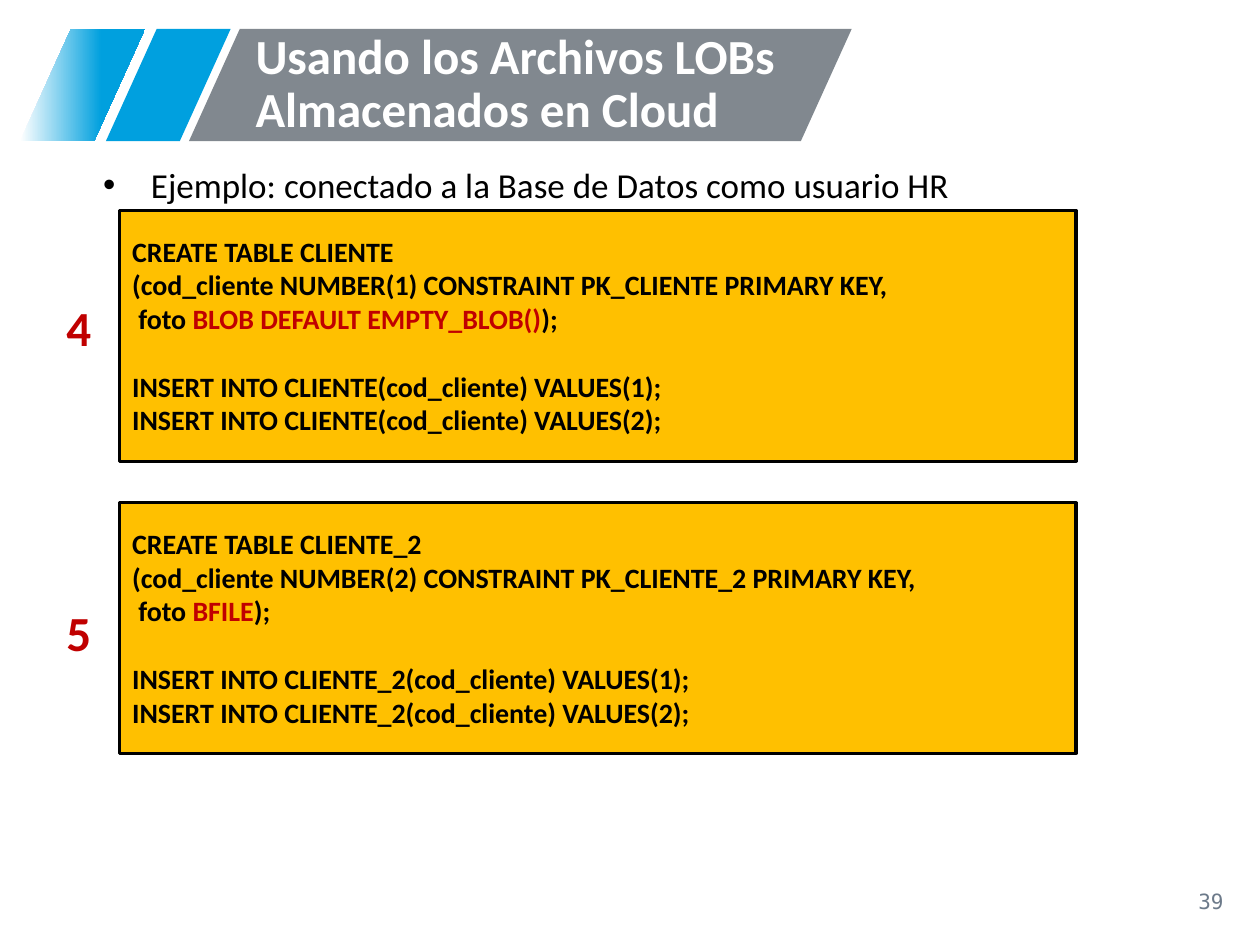
from lxml import etree
from pptx import Presentation
from pptx.dml.color import RGBColor
from pptx.enum.shapes import MSO_SHAPE
from pptx.enum.text import MSO_ANCHOR, PP_ALIGN
from pptx.oxml.ns import qn
from pptx.util import Inches, Pt

PARALLELOGRAM, RECTANGLE = MSO_SHAPE.PARALLELOGRAM, MSO_SHAPE.RECTANGLE
TOP, MIDDLE = MSO_ANCHOR.TOP, MSO_ANCHOR.MIDDLE
LEFT, CENTER, RIGHT = PP_ALIGN.LEFT, PP_ALIGN.CENTER, PP_ALIGN.RIGHT

COLORS = {
    "white": "FFFFFF", "black": "000000", "blue": "00A0DF", "fade": "00A0DE",
    "gray": "81888F", "amber": "FFC000", "red": "C00000", "slate": "6C7A8A",
}

STEPS = [
    ("4", 1.67, 2.31, [
        [("CREATE TABLE CLIENTE", "black")],
        [("(cod_cliente NUMBER(1) CONSTRAINT PK_CLIENTE PRIMARY KEY,", "black")],
        [(" foto ", "black"), ("BLOB DEFAULT EMPTY_BLOB()", "red"), (");", "black")],
    ], [
        [("INSERT INTO CLIENTE(cod_cliente) VALUES(1);", "black")],
        [("INSERT INTO CLIENTE(cod_cliente) VALUES(2);", "black")],
    ]),
    ("5", 3.99, 4.73, [
        [("CREATE TABLE CLIENTE_2", "black")],
        [("(cod_cliente NUMBER(2) CONSTRAINT PK_CLIENTE_2 PRIMARY KEY,", "black")],
        [(" foto ", "black"), ("BFILE", "red"), (");", "black")],
    ], [
        [("INSERT INTO CLIENTE_2(cod_cliente) VALUES(1);", "black")],
        [("INSERT INTO CLIENTE_2(cod_cliente) VALUES(2);", "black")],
    ]),
]


def rgb(name):
    return RGBColor.from_string(COLORS[name])


def add_run(paragraph, text, color, size, bold=False, font="Calibri"):
    run = paragraph.add_run()
    run.text = text
    for key, value in {"name": font, "size": Pt(size), "bold": bold}.items():
        setattr(run.font, key, value)
    run.font.color.rgb = rgb(color)


def add_label(slide, box, text, color, size, align=LEFT, anchor=TOP, **style):
    frame = slide.shapes.add_textbox(*map(Inches, box)).text_frame
    frame.word_wrap = True
    frame.vertical_anchor = anchor
    paragraph = frame.paragraphs[0]
    paragraph.alignment = align
    add_run(paragraph, text, color, size, **style)
    return paragraph


def add_panel(slide, kind, box, color):
    panel = slide.shapes.add_shape(kind, *map(Inches, box))
    panel.shadow.inherit = False
    panel.fill.solid()
    panel.fill.fore_color.rgb = rgb(color)
    panel.line.fill.background()
    return panel


def add_header(slide, left, top, height):
    bands = [(0.68, 0.99, "blue"), (0, 0.99, "fade"), (1.34, 5.26, "gray")]
    for offset, width, color in bands:
        band = add_panel(slide, PARALLELOGRAM, (left + offset, top, width, height), color)
        band.adjustments[0] = 0.453
        if color == "fade":
            band.fill.gradient()
            band.fill.gradient_angle = 0
            stops = [(0, "white"), (0.65, "fade")]
            for stop, (position, tint) in zip(band.fill.gradient_stops, stops):
                stop.position = position
                stop.color.rgb = rgb(tint)
    title = add_label(slide, (left + 1.77, top, 4.69, height),
                      "Usando los Archivos LOBs Almacenados en Cloud",
                      "white", 28, anchor=MIDDLE, bold=True)
    title.line_spacing = 0.9


def add_example(slide, box):
    example = add_label(slide, box, "Ejemplo: conectado a la Base de Datos como usuario HR",
                        "black", 20)
    properties = example._p.get_or_add_pPr()
    properties.set("marL", str(Inches(0.38)))
    properties.set("indent", str(Inches(-0.38)))
    etree.SubElement(properties, qn("a:buFont")).set("typeface", "Arial")
    etree.SubElement(properties, qn("a:buChar")).set("char", "•")


def add_code(slide, box, create, inserts):
    panel = add_panel(slide, RECTANGLE, box, "amber")
    panel.line.color.rgb = rgb("black")
    panel.line.width = Pt(1.75)
    frame = panel.text_frame
    frame.word_wrap = True
    frame.vertical_anchor = TOP
    frame.margin_top = Inches(0.19)
    for index, line in enumerate(create + inserts):
        paragraph = frame.add_paragraph() if index else frame.paragraphs[0]
        paragraph.alignment = LEFT
        if index == len(create):
            paragraph.space_before = Pt(19.5)
        for text, color in line:
            add_run(paragraph, text, color, 16, bold=True)


def main():
    presentation = Presentation()
    presentation.slide_width = Inches(10)
    presentation.slide_height = Inches(7.5)
    slide = presentation.slides.add_slide(presentation.slide_layouts[6])
    add_header(slide, 0.16, 0.23, 0.89)
    add_example(slide, (0.72, 1.25, 9.1, 0.42))
    for number, code_top, number_top, create, inserts in STEPS:
        add_code(slide, (0.95, code_top, 7.59, 1.99), create, inserts)
        add_label(slide, (0.42, number_top, 0.41, 0.57), number, "red", 28,
                  align=CENTER, bold=True)
    add_label(slide, (7.56, 6.95, 2.25, 0.4), "39", "slate", 12,
              align=RIGHT, anchor=MIDDLE, font="DejaVu Sans Mono")
    presentation.save("out.pptx")


if __name__ == "__main__":
    main()
